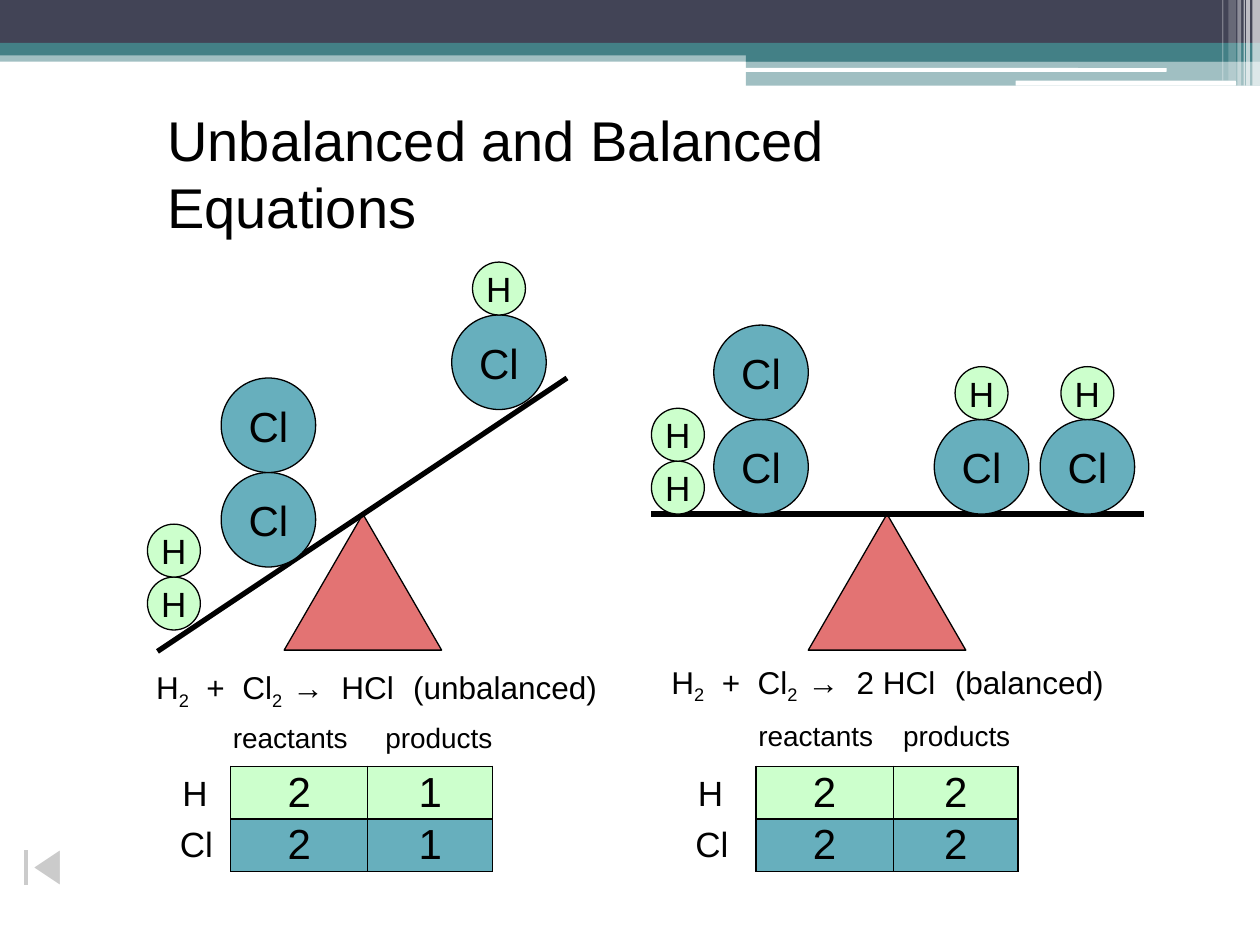
from dataclasses import dataclass

from lxml import etree
from pptx import Presentation
from pptx import util as u
from pptx.dml.color import RGBColor
from pptx.enum import shapes, text
from pptx.oxml import ns

SHAPE = shapes.MSO_SHAPE


@dataclass(frozen=True)
class Theme:
    font: str = "Arial"
    ink: str = "000000"
    white: str = "FFFFFF"
    navy: str = "424456"
    teal: str = "438086"
    hydrogen: str = "CCFFCC"
    chlorine: str = "67AFBD"
    pivot: str = "CC0000"
    title: int = 32
    large: int = 24
    label: int = 20
    equation: int = 18
    heading: int = 16
    thin: float = 0.75
    beam: float = 3


T = Theme()
ATOMS = {"H": (0.42, T.hydrogen, T.label), "Cl": (0.75, T.chlorine, T.large)}


def add_run(p, content, size, baseline=0, bold=False):
    r = p.add_run()
    r.text = content
    r.font.name = T.font
    r.font.size = u.Pt(size)
    r.font.bold = bold
    r.font.color.rgb = RGBColor.from_string(T.ink)
    if baseline:
        r.font._element.set("baseline", str(baseline * 1000))


def add_text(s, box, runs, size):
    tf = s.shapes.add_textbox(*map(u.Inches, box)).text_frame
    tf.word_wrap = True
    for content, *style in runs:
        add_run(tf.paragraphs[0], content, size, *style)


def add_block(s, kind, box, color, alpha=100, line=None):
    sp = s.shapes.add_shape(kind, *map(u.Inches, box))
    sp.shadow.inherit = False
    sp.fill.solid()
    sp.fill.fore_color.rgb = RGBColor.from_string(color)
    if alpha < 100:
        clr = sp._element.spPr.find(".//" + ns.qn("a:srgbClr"))
        etree.SubElement(clr, ns.qn("a:alpha")).set("val", str(alpha * 1000))
    if line:
        sp.line.color.rgb = RGBColor.from_string(line)
        sp.line.width = u.Pt(T.thin)
    else:
        sp.line.fill.background()
    return sp


def add_beam(s, start, end):
    sp = s.shapes.add_connector(shapes.MSO_CONNECTOR.STRAIGHT, *map(u.Inches, start + end))
    sp.line.color.rgb = RGBColor.from_string(T.ink)
    sp.line.width = u.Pt(T.beam)
    etree.SubElement(sp._element.spPr, ns.qn("a:effectLst"))


def add_atom(s, symbol, center, bottom):
    size, color, points = ATOMS[symbol]
    box = (center - size / 2, bottom - size, size, size)
    tf = add_block(s, SHAPE.OVAL, box, color, line=T.ink).text_frame
    tf.word_wrap = False
    tf.vertical_anchor = text.MSO_ANCHOR.MIDDLE
    tf.paragraphs[0].alignment = text.PP_ALIGN.CENTER
    add_run(tf.paragraphs[0], symbol, points)


def add_scale(s, pivot_x, start, end, stacks):
    add_block(s, SHAPE.ISOSCELES_TRIANGLE, (pivot_x - 0.625, 4.08, 1.25, 1.08), T.pivot, 55, T.ink)
    add_beam(s, start, end)
    for symbols, center, bottom in stacks:
        for symbol in symbols:
            add_atom(s, symbol, center, bottom)
            bottom -= ATOMS[symbol][0]


def add_borders(cell):
    tcPr = cell._tc.get_or_add_tcPr()
    for side in ("lnL", "lnR", "lnT", "lnB"):
        ln = etree.SubElement(tcPr, ns.qn("a:" + side), w=str(u.Pt(T.thin)))
        fill = etree.SubElement(ln, ns.qn("a:solidFill"))
        etree.SubElement(fill, ns.qn("a:srgbClr"), val=T.ink)


def fill_cell(cell, content, color):
    add_borders(cell)
    cell.fill.solid()
    cell.fill.fore_color.rgb = RGBColor.from_string(color)
    cell.margin_left = cell.margin_right = cell.margin_top = cell.margin_bottom = 0
    cell.vertical_anchor = text.MSO_ANCHOR.MIDDLE
    p = cell.text_frame.paragraphs[0]
    p.alignment = text.PP_ALIGN.CENTER
    add_run(p, content, T.large)


def add_counts(s, left, label_left, headings, rows):
    for heading, x, y in headings:
        add_text(s, (x, y, 1.2, 0.37), [(heading,)], T.heading)
    table = s.shapes.add_table(2, 2, *map(u.Inches, (left, 6.08, 2.08, 0.84))).table
    table.first_row = table.horz_banding = False
    for column, width in zip(table.columns, (1.09, 0.99)):
        column.width = u.Inches(width)
    for i, (symbol, counts) in enumerate(rows):
        add_text(s, (label_left - 0.02 * i, 6.07 + 0.41 * i, 0.5, 0.43), [(symbol,)], T.label)
        table.rows[i].height = u.Inches(0.42)
        for j, count in enumerate(counts):
            fill_cell(table.cell(i, j), count, ATOMS[symbol][1])


def add_equation(s, left, top, product, note, note_left):
    runs = [("H",), ("2", -25), ("  +  Cl",), ("2  ", -25), ("→", 0, True), ("  " + product,)]
    add_text(s, (left, top, 2.51, 0.4), runs, T.equation)
    add_text(s, (note_left, top, 1.75, 0.4), [(note,)], T.equation)


def add_banner(s):
    for box, color, alpha in (
        ((0, 0.4, 10, 0.09), T.teal, 50),
        ((0, 0, 10, 0.34), T.navy, 100),
        ((0, 0.34, 10, 0.1), T.teal, 100),
        ((5.92, 0.39, 4.08, 0.1), T.teal, 100),
        ((5.92, 0.48, 4.08, 0.2), T.teal, 50),
    ):
        add_block(s, SHAPE.RECTANGLE, box, color, alpha)
    for box in ((5.91, 0.54, 3.35, 0.03), (8.06, 0.64, 1.75, 0.04)):
        add_block(s, SHAPE.ROUNDED_RECTANGLE, box, T.white)
    for left, width, height, alpha in (
        (9.94, 0.06, 0.68, 65),
        (9.89, 0.03, 0.68, 65),
        (9.87, 0.01, 0.68, 60),
        (9.82, 0.03, 0.68, 40),
        (9.75, 0.06, 0.64, 20),
        (9.7, 0.01, 0.64, 30),
    ):
        add_block(s, SHAPE.RECTANGLE, (left, 0, width, height), T.white, alpha)


def main():
    prs = Presentation()
    prs.slide_width, prs.slide_height = u.Inches(10), u.Inches(7.5)
    s = prs.slides.add_slide(prs.slide_layouts[6])
    add_banner(s)
    add_text(s, (1.23, 0.79, 7.2, 0.63), [("Unbalanced and Balanced Equations",)], T.title)

    hh, clcl, hcl = ("H", "H"), ("Cl", "Cl"), ("Cl", "H")
    add_scale(s, 2.88, (1.25, 5.17), (4.5, 3),
              [(hcl, 3.96, 3.25), (clcl, 2.13, 4.5), (hh, 1.38, 5)])
    add_scale(s, 7.04, (5.17, 4.08), (9.08, 4.08),
              [(hcl, 8.63, 4.08), (hcl, 7.79, 4.08), (clcl, 6.04, 4.08), (hh, 5.38, 4.08)])

    add_equation(s, 1.14, 5.25, "HCl", "(unbalanced)", 3.18)
    add_equation(s, 5.23, 5.21, "2 HCl", "(balanced)", 7.48)

    add_counts(s, 1.83, 1.35, [("reactants", 1.75, 5.67), ("products", 2.96, 5.67)],
               [("H", "21"), ("Cl", "21")])
    add_counts(s, 6, 5.44, [("reactants", 5.92, 5.65), ("products", 7.07, 5.65)],
               [("H", "22"), ("Cl", "22")])

    add_block(s, SHAPE.ACTION_BUTTON_BEGINNING, (0, 6.69, 0.67, 0.39), T.white, 50, T.white)
    prs.save("out.pptx")


if __name__ == "__main__":
    main()
